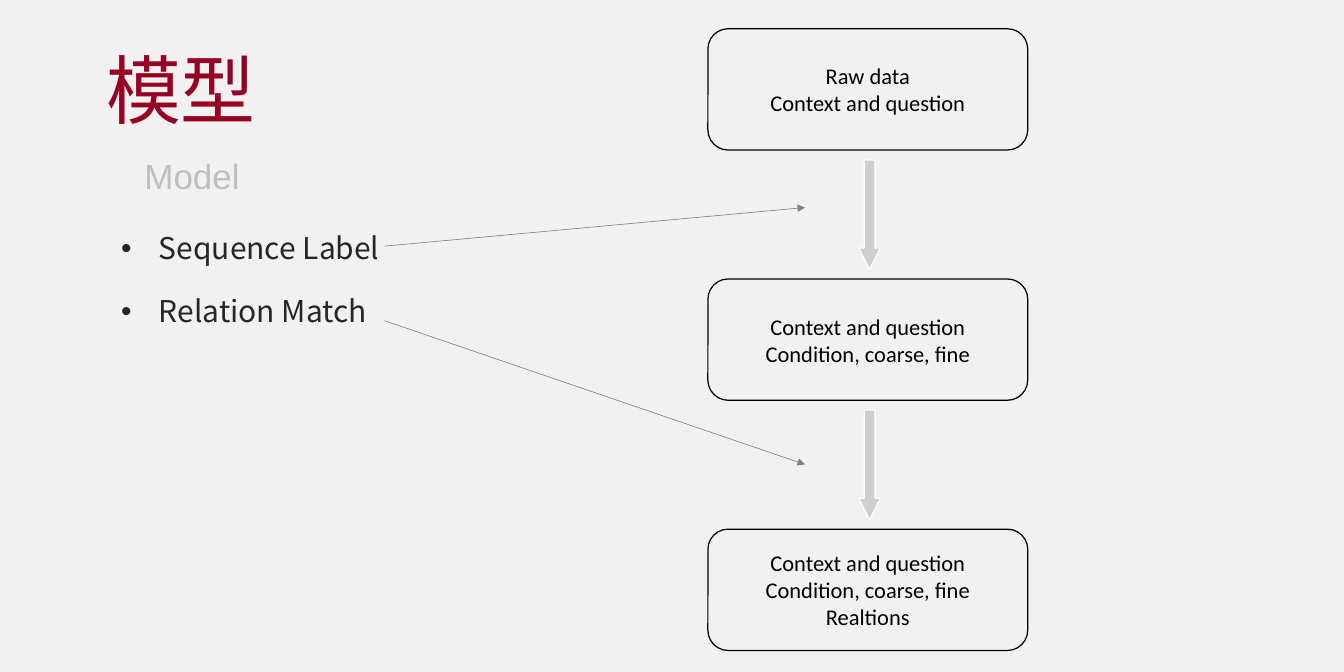
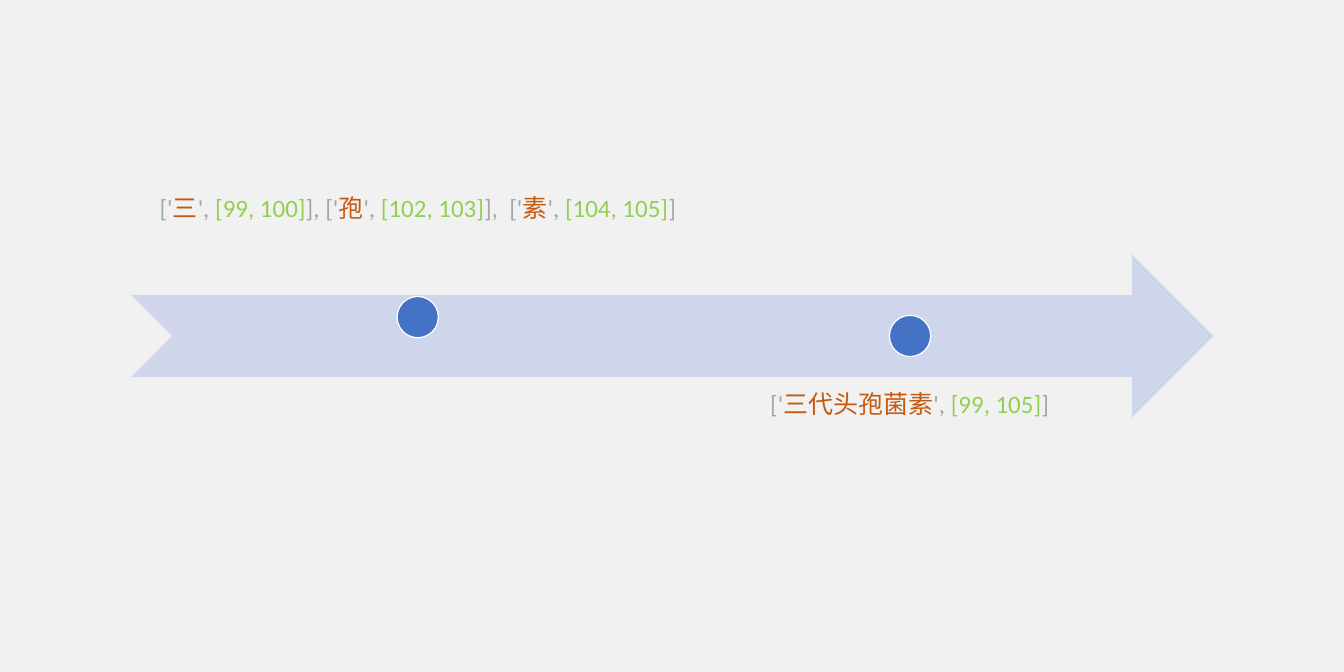
from lxml import etree
from pptx import Presentation
from pptx.dml.color import RGBColor
from pptx.enum.shapes import MSO_CONNECTOR, MSO_SHAPE
from pptx.enum.text import MSO_ANCHOR, MSO_AUTO_SIZE, PP_ALIGN
from pptx.oxml.ns import qn
from pptx.util import Inches, Pt

ROUNDED = MSO_SHAPE.ROUNDED_RECTANGLE
DOWN_ARROW = MSO_SHAPE.DOWN_ARROW
NOTCHED_ARROW = MSO_SHAPE.NOTCHED_RIGHT_ARROW
OVAL = MSO_SHAPE.OVAL
STRAIGHT = MSO_CONNECTOR.STRAIGHT
LEFT, CENTER = PP_ALIGN.LEFT, PP_ALIGN.CENTER
TOP, MIDDLE, BOTTOM = MSO_ANCHOR.TOP, MSO_ANCHOR.MIDDLE, MSO_ANCHOR.BOTTOM
NO_FIT = MSO_AUTO_SIZE.NONE

PAPER = RGBColor(0xF1, 0xF1, 0xF1)
CRIMSON = RGBColor(0x96, 0x00, 0x23)
SUBTITLE_GREY = RGBColor(0xBF, 0xBF, 0xBF)
BODY = RGBColor(0x26, 0x26, 0x26)
BLACK = RGBColor(0x00, 0x00, 0x00)
WHITE = RGBColor(0xFF, 0xFF, 0xFF)
ARROW_GREY = RGBColor(0xD0, 0xCE, 0xCE)
POINTER_GREY = RGBColor(0x80, 0x80, 0x80)
BAND = RGBColor(0xCF, 0xD5, 0xEA)
MARKER = RGBColor(0x44, 0x72, 0xC4)
BRACKET = RGBColor(0xA6, 0xA6, 0xA6)
WORD = RGBColor(0xC5, 0x5A, 0x11)
SPAN = RGBColor(0x92, 0xD0, 0x50)

HAN_FONT = "Noto Sans CJK SC"
LIST_FONT = "Noto Sans CJK JP"
LATIN_FONT = "Calibri"
SUBTITLE_FONT = "Arial"
TITLE_ONLY, BLANK = 5, 6


def place(box):
    return [Inches(length) for length in box]


def add_run(para, text, font, size, color):
    run = para.add_run()
    run.text = text
    run.font.name = font
    run.font.size = Pt(size)
    run.font.color.rgb = color
    east_asian = etree.SubElement(run.font._element, qn("a:ea"))
    east_asian.set("typeface", HAN_FONT)


def set_frame(frame, anchor):
    frame.word_wrap = True
    frame.auto_size = NO_FIT
    frame.vertical_anchor = anchor


def add_text_box(page, box, anchor=TOP):
    frame = page.shapes.add_textbox(*place(box)).text_frame
    set_frame(frame, anchor)
    return frame


def add_block(page, kind, box, fill, line=None):
    shape = page.shapes.add_shape(kind, *place(box))
    shape.shadow.inherit = False
    shape.fill.solid()
    shape.fill.fore_color.rgb = fill
    if line is None:
        shape.line.fill.background()
    else:
        shape.line.color.rgb = line
        shape.line.width = Pt(1)
    return shape


def add_heading(page, box, title, subtitle):
    left, top, width, height = box
    heading = page.shapes.title
    heading.left, heading.top, heading.width, heading.height = place(box)
    set_frame(heading.text_frame, TOP)
    para = heading.text_frame.paragraphs[0]
    para.alignment = LEFT
    add_run(para, title, HAN_FONT, 60, CRIMSON)
    frame = add_text_box(page, (left + 0.43, top + 1.23, 1.61, 0.57))
    add_run(frame.paragraphs[0], subtitle, SUBTITLE_FONT, 28, SUBTITLE_GREY)


def add_bullets(page, box, items):
    left, top, width, height = box
    for row, item in enumerate(items):
        frame = add_text_box(page, (left, top + row * 0.7, width, height))
        para = frame.paragraphs[0]
        properties = para._p.get_or_add_pPr()
        properties.set("marL", str(Inches(0.42)))
        properties.set("indent", str(-Inches(0.42)))
        bullet_font = etree.SubElement(properties, qn("a:buFont"))
        bullet_font.set("typeface", SUBTITLE_FONT)
        etree.SubElement(properties, qn("a:buChar")).set("char", "•")
        add_run(para, item, LIST_FONT, 24, BODY)


def add_flow(page, box, stages):
    left, top, width, height = box
    stage_height = 1.35
    step = (height - stage_height) / (len(stages) - 1)
    for index, lines in enumerate(stages):
        stage_top = top + index * step
        stage = add_block(page, ROUNDED, (left, stage_top, width, stage_height),
                          PAPER, BLACK)
        frame = stage.text_frame
        set_frame(frame, MIDDLE)
        for number, text in enumerate(lines):
            para = frame.add_paragraph() if number else frame.paragraphs[0]
            para.alignment = CENTER
            add_run(para, text, LATIN_FONT, 18, BLACK)
        if index < len(stages) - 1:
            arrow_box = (left + 1.68, stage_top + stage_height + 0.11, 0.24, 1.22)
            arrow = add_block(page, DOWN_ARROW, arrow_box, ARROW_GREY, WHITE)
            arrow.adjustments[0] = 0.5
            arrow.adjustments[1] = 1


def add_pointer(page, start, end):
    pointer = page.shapes.add_connector(STRAIGHT, *place(start + end))
    pointer.line.color.rgb = POINTER_GREY
    pointer.line.width = Pt(0.5)
    line = pointer.line._get_or_add_ln()
    etree.SubElement(line, qn("a:tailEnd")).set("type", "triangle")
    etree.SubElement(pointer._element.spPr, qn("a:effectLst"))


def add_entities(page, box, anchor, entities):
    frame = add_text_box(page, box, anchor)
    frame.margin_left = frame.margin_right = Inches(0.16)
    frame.margin_top = frame.margin_bottom = Inches(0.16)
    para = frame.paragraphs[0]
    para.alignment = CENTER
    para.line_spacing = 0.9
    for word, span, closing in entities:
        parts = (("['", BRACKET), (word, WORD), ("', ", BRACKET),
                 (span, SPAN), (closing, BRACKET))
        for text, color in parts:
            add_run(para, text, LATIN_FONT, 20, color)


def add_timeline(page, box, before, after):
    left, top, width, height = box
    add_block(page, NOTCHED_ARROW, box, BAND)
    add_entities(page, (left, top - 1.16, 6.38, 0.97), BOTTOM, before)
    add_entities(page, (left + 6.5, top + 1.37, 4.33, height), TOP, after)
    for across, down in ((2.96, 0.47), (8.44, 0.68)):
        add_block(page, OVAL, (left + across, top + down, 0.46, 0.46), MARKER, WHITE)


def build_model_page(deck):
    page = deck.slides.add_slide(deck.slide_layouts[TITLE_ONLY])
    add_heading(page, (1.08, 0.44, 4.42, 1.11), "模型", "Model")
    add_bullets(page, (1.25, 2.51, 3.09, 0.5), ("Sequence Label", "Relation Match"))
    add_flow(page, (7.88, 0.32, 3.56, 6.92), (
        ("Raw data", "Context and question"),
        ("Context and question", "Condition, coarse, fine"),
        ("Context and question", "Condition, coarse, fine", "Realtions"),
    ))
    add_pointer(page, (4.28, 2.74), (8.96, 2.31))
    add_pointer(page, (4.28, 3.57), (8.96, 5.17))


def build_match_page(deck):
    page = deck.slides.add_slide(deck.slide_layouts[BLANK])
    add_timeline(
        page, (1.46, 2.83, 12.05, 1.82),
        (("三", "[99, 100]", "], "),
         ("孢", "[102, 103]", "],  "),
         ("素", "[104, 105]", "]")),
        (("三代头孢菌素", "[99, 105]", "]"),),
    )


deck = Presentation()
deck.slide_width, deck.slide_height = Inches(14.96), Inches(7.48)
backdrop = deck.slide_master.background.fill
backdrop.solid()
backdrop.fore_color.rgb = PAPER
build_model_page(deck)
build_match_page(deck)
deck.save("out.pptx")
